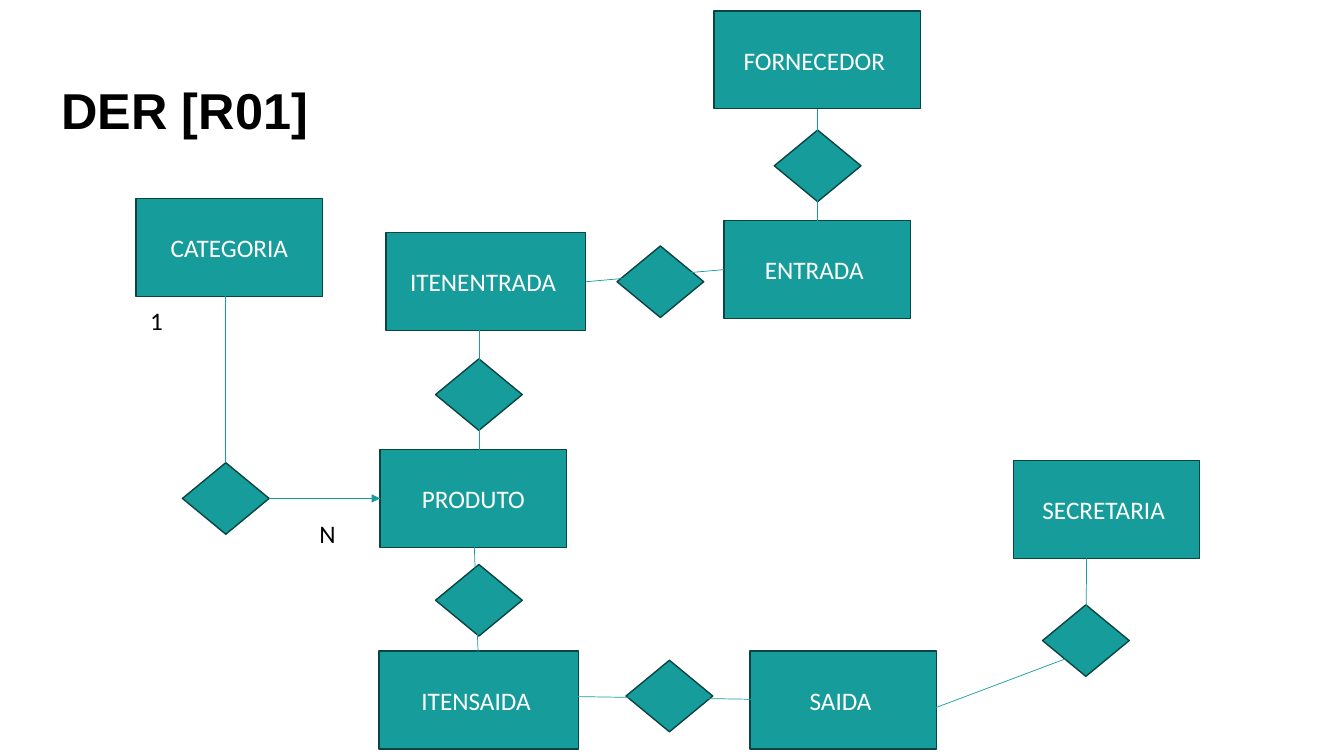
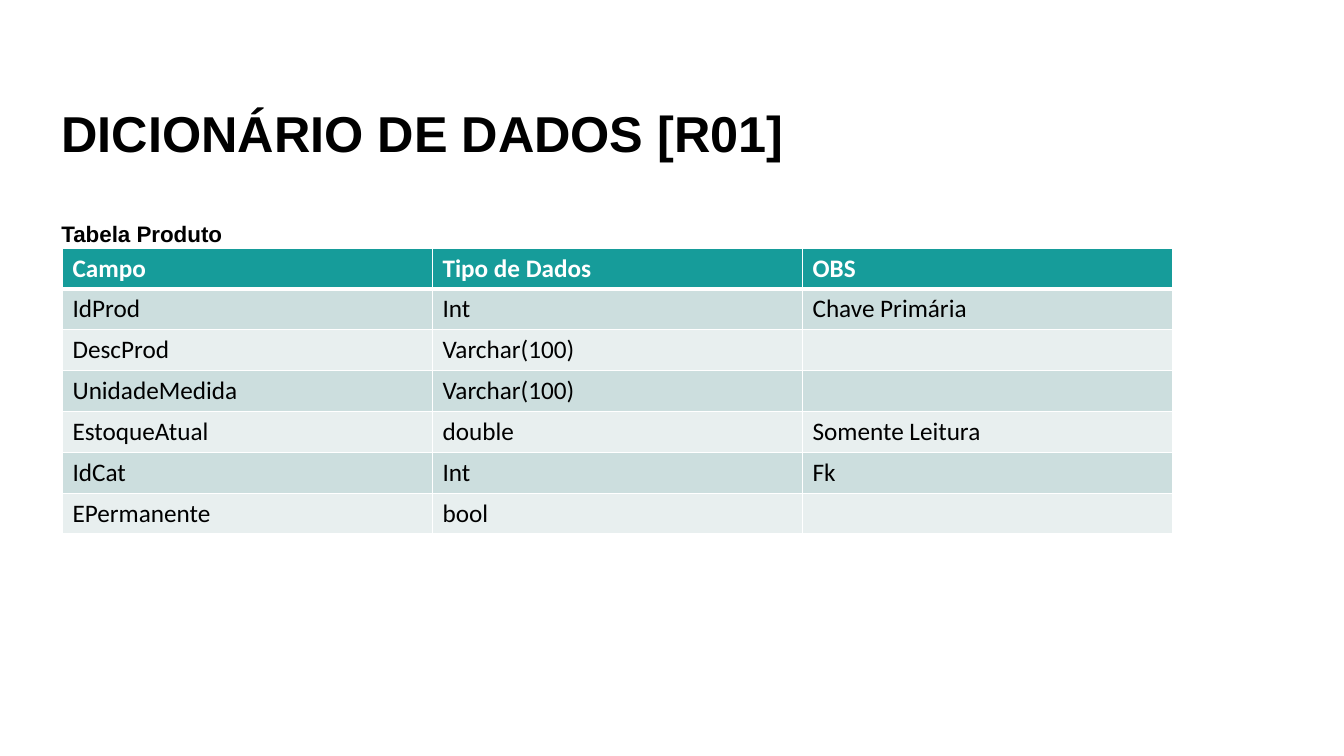
from dataclasses import dataclass

from lxml import etree
from pptx import Presentation
from pptx.dml.color import RGBColor
from pptx.enum.shapes import MSO_CONNECTOR, MSO_SHAPE
from pptx.enum.text import MSO_ANCHOR, MSO_AUTO_SIZE, PP_ALIGN
from pptx.oxml.ns import qn
from pptx.util import Inches, Pt

RECT, DIAMOND = MSO_SHAPE.RECTANGLE, MSO_SHAPE.DIAMOND
STRAIGHT = MSO_CONNECTOR.STRAIGHT
BOTTOM, MIDDLE = MSO_ANCHOR.BOTTOM, MSO_ANCHOR.MIDDLE
LEFT, CENTER = PP_ALIGN.LEFT, PP_ALIGN.CENTER
TOP_SIDE, LEFT_SIDE, BOTTOM_SIDE, RIGHT_SIDE = range(4)
TITLE_ONLY = 5


@dataclass(frozen=True)
class Theme:
    accent: str = "169C9A"
    outline: str = "0A4443"
    ink: str = "000000"
    paper: str = "FFFFFF"
    bands: tuple = ("CCDEDE", "E8EFEF")
    heading_font: str = "Arial"
    body_font: str = "Calibri"
    title_size: int = 36
    subtitle_size: int = 16
    body_size: int = 18


def rgb(code):
    return RGBColor.from_string(code)


class Deck:
    def __init__(self, theme):
        self.theme = theme
        self.prs = Presentation()
        self.prs.slide_width = Inches(13.33)
        self.prs.slide_height = Inches(7.5)

    def slide(self, title, top):
        self.s = self.prs.slides.add_slide(self.prs.slide_layouts[TITLE_ONLY])
        sp = self.s.shapes.title
        sp.left, sp.top, sp.width, sp.height = map(Inches, (0.51, top, 11.5, 1.67))
        self.heading(sp.text_frame, title, self.theme.title_size)

    def style(self, p, color, size=None, name=None, bold=False):
        p.font.name = name or self.theme.body_font
        p.font.size = Pt(size or self.theme.body_size)
        p.font.bold = bold
        p.font.color.rgb = rgb(color)

    def heading(self, tf, text, size):
        tf.text = text
        tf.word_wrap = True
        tf.auto_size = MSO_AUTO_SIZE.NONE
        tf.vertical_anchor = BOTTOM
        p = tf.paragraphs[0]
        p.alignment = LEFT
        p.line_spacing = 0.9
        p.space_before = Pt(25)
        self.style(p, self.theme.ink, size, self.theme.heading_font, True)

    def subtitle(self, text, top):
        sp = self.s.shapes.add_textbox(Inches(0.51), Inches(top), Inches(11.5), Inches(1.67))
        self.heading(sp.text_frame, text, self.theme.subtitle_size)

    def shape(self, kind, x, y, w, h):
        sp = self.s.shapes.add_shape(kind, Inches(x), Inches(y), Inches(w), Inches(h))
        sp.shadow.inherit = False
        sp.fill.solid()
        sp.fill.fore_color.rgb = rgb(self.theme.accent)
        sp.line.color.rgb = rgb(self.theme.outline)
        sp.line.width = Pt(1)
        return sp

    def entity(self, text, x, y, w=1.85):
        sp = self.shape(RECT, x, y, w, 0.97)
        tf = sp.text_frame
        tf.text = text
        tf.vertical_anchor = MIDDLE
        p = tf.paragraphs[0]
        p.alignment = CENTER
        self.style(p, self.theme.paper)
        return sp

    def relation(self, x, y):
        return self.shape(DIAMOND, x, y, 0.86, 0.71)

    def label(self, text, x, y):
        sp = self.s.shapes.add_textbox(Inches(x), Inches(y), Inches(2.11), Inches(0.4))
        tf = sp.text_frame
        tf.word_wrap = True
        tf.text = text
        self.style(tf.paragraphs[0], self.theme.ink)

    def line(self, start=(0, 0), end=(0, 0), begin=None, finish=None, arrow=False):
        c = self.s.shapes.add_connector(STRAIGHT, *map(Inches, (*start, *end)))
        if begin:
            c.begin_connect(*begin)
        if finish:
            c.end_connect(*finish)
        c.line.color.rgb = rgb(self.theme.accent)
        c.line.width = Pt(0.5)
        if arrow:
            etree.SubElement(c.line._get_or_add_ln(), qn("a:tailEnd"), type="triangle")
        etree.SubElement(c._element.spPr, qn("a:effectLst"))

    def borders(self, cell, header):
        tc_pr = cell._tc.get_or_add_tcPr()
        for tag in ("lnL", "lnR", "lnT", "lnB"):
            width = Pt(3 if header and tag == "lnB" else 1)
            ln = etree.SubElement(tc_pr, qn(f"a:{tag}"), w=str(int(width)))
            fill = etree.SubElement(ln, qn("a:solidFill"))
            etree.SubElement(fill, qn("a:srgbClr"), val=self.theme.paper)

    def table(self, rows, x, y, w, h):
        t = self.theme
        frame = self.s.shapes.add_table(
            len(rows), len(rows[0]), Inches(x), Inches(y), Inches(w), Inches(h))
        for i, row in enumerate(rows):
            header = i == 0
            for j, text in enumerate(row):
                cell = frame.table.cell(i, j)
                self.borders(cell, header)
                cell.fill.solid()
                cell.fill.fore_color.rgb = rgb(t.accent if header else t.bands[(i - 1) % 2])
                cell.text = text
                self.style(cell.text_frame.paragraphs[0],
                           t.paper if header else t.ink, bold=header)


def diagram(deck):
    deck.slide("DER [R01]", -0.23)
    produto = deck.entity("PRODUTO", 3.77, 4.46)
    deck.entity("CATEGORIA", 1.35, 1.97)
    entrada = deck.entity("ENTRADA ", 7.18, 2.19)
    item_entrada = deck.entity("ITENENTRADA ", 3.83, 2.31, 1.98)
    deck.entity("SAIDA ", 7.44, 6.46)
    fornecedor = deck.entity("FORNECEDOR ", 7.08, 0.11, 2.05)
    deck.entity("SECRETARIA ", 10.05, 4.57)
    deck.entity("ITENSAIDA ", 3.76, 6.46, 1.98)

    classifica = deck.relation(1.81, 4.59)
    for x, y in ((4.32, 3.56), (4.32, 5.6), (6.21, 6.55),
                 (10.34, 6), (7.68, 1.29), (6.12, 2.44)):
        deck.relation(x, y)

    deck.line(begin=(classifica, RIGHT_SIDE), finish=(produto, LEFT_SIDE), arrow=True)
    deck.line(end=(2.24, 2.93), begin=(classifica, TOP_SIDE))
    deck.line(begin=(fornecedor, BOTTOM_SIDE), finish=(entrada, TOP_SIDE))
    deck.line(begin=(entrada, LEFT_SIDE), finish=(item_entrada, RIGHT_SIDE))
    for start, end in (((4.75, 4.69), (4.75, 3.05)),
                       ((4.75, 6.71), (4.7, 5.3)),
                       ((10.77, 6.36), (10.78, 5.26)),
                       ((9.15, 7.07), (10.77, 6.46)),
                       ((5.68, 6.91), (7.63, 6.94))):
        deck.line(start, end)

    deck.label("1", 1.39, 2.98)
    deck.label("N", 3.07, 5.09)


def dictionary(deck):
    deck.slide("DICIONÁRIO DE DADOS [R01]", 0)
    deck.table((
        ("Campo", "Tipo de Dados", "OBS"),
        ("IdProd", "Int", "Chave Primária"),
        ("DescProd", "Varchar(100)", ""),
        ("UnidadeMedida", "Varchar(100)", ""),
        ("EstoqueAtual", "double", "Somente Leitura"),
        ("IdCat", "Int", "Fk"),
        ("EPermanente", "bool", ""),
    ), 0.62, 2.46, 11.01, 2.84)
    deck.subtitle("Tabela Produto", 0.83)


def main():
    deck = Deck(Theme())
    diagram(deck)
    dictionary(deck)
    deck.prs.save("out.pptx")


if __name__ == "__main__":
    main()
